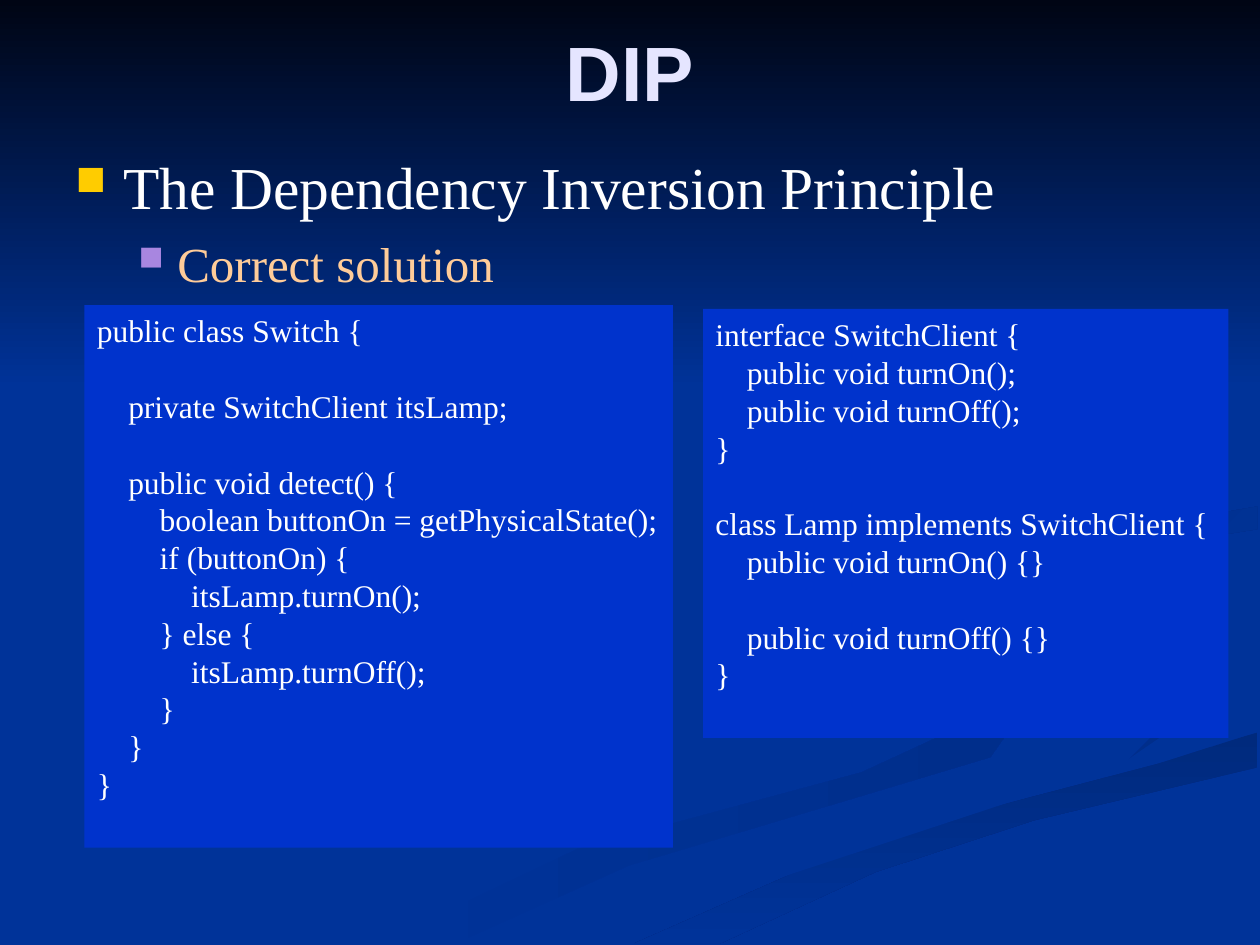
"""Build the DIP slide: heading, two bullets and two code panels over a ribbon backdrop."""
from lxml import etree
from pptx import Presentation
from pptx.dml.color import RGBColor
from pptx.enum.shapes import MSO_SHAPE
from pptx.enum.text import MSO_ANCHOR, PP_ALIGN
from pptx.oxml.ns import qn
from pptx.util import Inches, Pt

RECTANGLE = MSO_SHAPE.RECTANGLE
TOP, MIDDLE = MSO_ANCHOR.TOP, MSO_ANCHOR.MIDDLE
LEFT, CENTER = PP_ALIGN.LEFT, PP_ALIGN.CENTER
WIDTH, HEIGHT = Inches(10), Inches(7.5)
HEADING_FONT, BODY_FONT = "Arial", "Times New Roman"
COLORS = {
    "back": "003399", "night": "000514", "panel": "0033CC", "title": "E5E5FF",
    "text": "FFFFFF", "accent": "FFCC99", "gold": "FFCC00", "violet": "A886E0",
    "shade1": "002E8B", "shade2": "002A7D", "shade3": "002D86", "shade4": "002B82",
}

TITLE = "DIP"
BULLETS = [
    {"text": "The Dependency Inversion Principle", "size": 34, "color": "text",
     "marker": "gold", "margin": 0.38, "hang": 0.38, "before": 0},
    {"text": "Correct solution", "size": 28, "color": "accent",
     "marker": "violet", "margin": 0.81, "hang": 0.31, "before": 7},
]
SWITCH_CODE = """public class Switch {

    private SwitchClient itsLamp;

    public void detect() {
        boolean buttonOn = getPhysicalState();
        if (buttonOn) {
            itsLamp.turnOn();
        } else {
            itsLamp.turnOff();
        }
    }
}"""
LAMP_CODE = """interface SwitchClient {
    public void turnOn();
    public void turnOff();
}

class Lamp implements SwitchClient {
    public void turnOn() {}

    public void turnOff() {}
}"""
PANELS = [
    (SWITCH_CODE, (0.067, 0.323, 0.467, 0.574)),
    (LAMP_CODE, (0.558, 0.327, 0.417, 0.454)),
]
RIBBONS = [
    ("back", "shade1", 0, [
        (575, 459), (631, 505), (786, 566), (684, 613), (458, 674), (300, 749),
        (361, 749), (499, 687), (676, 634), (786, 601), (800, 581), (781, 553)]),
    ("back", "shade1", 45, [
        (724, 464), (838, 536), (918, 581), (894, 605), (943, 570), (888, 535)]),
    ("shade2", "back", 90, [
        (503, 749), (571, 749), (695, 692), (821, 651), (998, 609), (998, 581),
        (920, 606), (764, 647), (630, 693)]),
    ("back", "back", 0, [
        (725, 464), (851, 524), (943, 570), (892, 605), (704, 655), (477, 749),
        (630, 693), (797, 638), (999, 581), (999, 538), (782, 460), (999, 402),
        (999, 387), (770, 427)]),
    ("shade3", "back", 45, [
        (781, 460), (826, 496), (805, 472), (878, 439), (998, 420), (998, 402),
        (835, 430)]),
    ("shade4", "back", 45, [
        (683, 430), (841, 396), (893, 335), (843, 275), (762, 233), (862, 292),
        (876, 360), (649, 420), (577, 462), (622, 500), (594, 465)]),
]


def color(name):
    return RGBColor.from_string(COLORS[name])


def paint(shape, first, second=None, angle=0):
    shape.shadow.inherit = False
    shape.line.fill.background()
    if second in (None, first):
        shape.fill.solid()
        shape.fill.fore_color.rgb = color(first)
        return
    shape.fill.gradient()
    shape.fill.gradient_angle = (360 - angle) % 360
    for stop, name in zip(shape.fill.gradient_stops, (first, second)):
        stop.color.rgb = color(name)


def prepare(shape, anchor):
    frame = shape.text_frame
    frame.word_wrap = True
    frame.vertical_anchor = anchor
    return frame


def next_paragraph(frame, index):
    return frame.add_paragraph() if index else frame.paragraphs[0]


def write(paragraph, text, size, name, font=BODY_FONT, bold=False):
    run = paragraph.add_run()
    run.text = text
    run.font.size, run.font.name, run.font.bold = Pt(size), font, bold
    run.font.color.rgb = color(name)


def add_marker(paragraph, bullet):
    properties = paragraph._p.get_or_add_pPr()
    properties.set("marL", str(Inches(bullet["margin"])))
    properties.set("indent", str(-Inches(bullet["hang"])))
    tint = etree.SubElement(properties, qn("a:buClr"))
    etree.SubElement(tint, qn("a:srgbClr"), val=COLORS[bullet["marker"]])
    etree.SubElement(properties, qn("a:buSzPct"), val="70000")
    etree.SubElement(properties, qn("a:buChar"), char="■")


def add_backdrop(slide):
    slide.background.fill.solid()
    slide.background.fill.fore_color.rgb = color("back")
    for first, second, angle, points in RIBBONS:
        builder = slide.shapes.build_freeform(*points[0], scale=Inches(0.01))
        builder.add_line_segments(points[1:], close=True)
        paint(builder.convert_to_shape(), first, second, angle)
    sky = slide.shapes.add_shape(RECTANGLE, 0, 0, WIDTH, Inches(3.08))
    paint(sky, "night", "back", 90)


def add_heading(slide):
    left, width = Inches(0.5), Inches(9)
    title = slide.shapes.add_textbox(left, Inches(0.17), width, Inches(0.78))
    paragraph = prepare(title, MIDDLE).paragraphs[0]
    paragraph.alignment = CENTER
    write(paragraph, TITLE, 44, "title", HEADING_FONT, True)
    body = slide.shapes.add_textbox(left, Inches(1.14), width, Inches(5.56))
    frame = prepare(body, TOP)
    for index, bullet in enumerate(BULLETS):
        paragraph = next_paragraph(frame, index)
        paragraph.level = index
        paragraph.space_before = Pt(bullet["before"])
        add_marker(paragraph, bullet)
        write(paragraph, bullet["text"], bullet["size"], bullet["color"])


def add_panel(slide, code, shares):
    box = [round(share * side) for share, side in zip(shares, (WIDTH, HEIGHT) * 2)]
    panel = slide.shapes.add_shape(RECTANGLE, *box)
    paint(panel, "panel")
    frame = prepare(panel, TOP)
    for index, line in enumerate(code.splitlines()):
        paragraph = next_paragraph(frame, index)
        paragraph.alignment = LEFT
        paragraph.font.size, paragraph.font.name = Pt(18), BODY_FONT
        if line:
            write(paragraph, line, 18, "text")


def main():
    presentation = Presentation()
    presentation.slide_width, presentation.slide_height = WIDTH, HEIGHT
    slide = presentation.slides.add_slide(presentation.slide_layouts[6])
    add_backdrop(slide)
    add_heading(slide)
    for code, shares in PANELS:
        add_panel(slide, code, shares)
    presentation.save("out.pptx")


if __name__ == "__main__":
    main()
